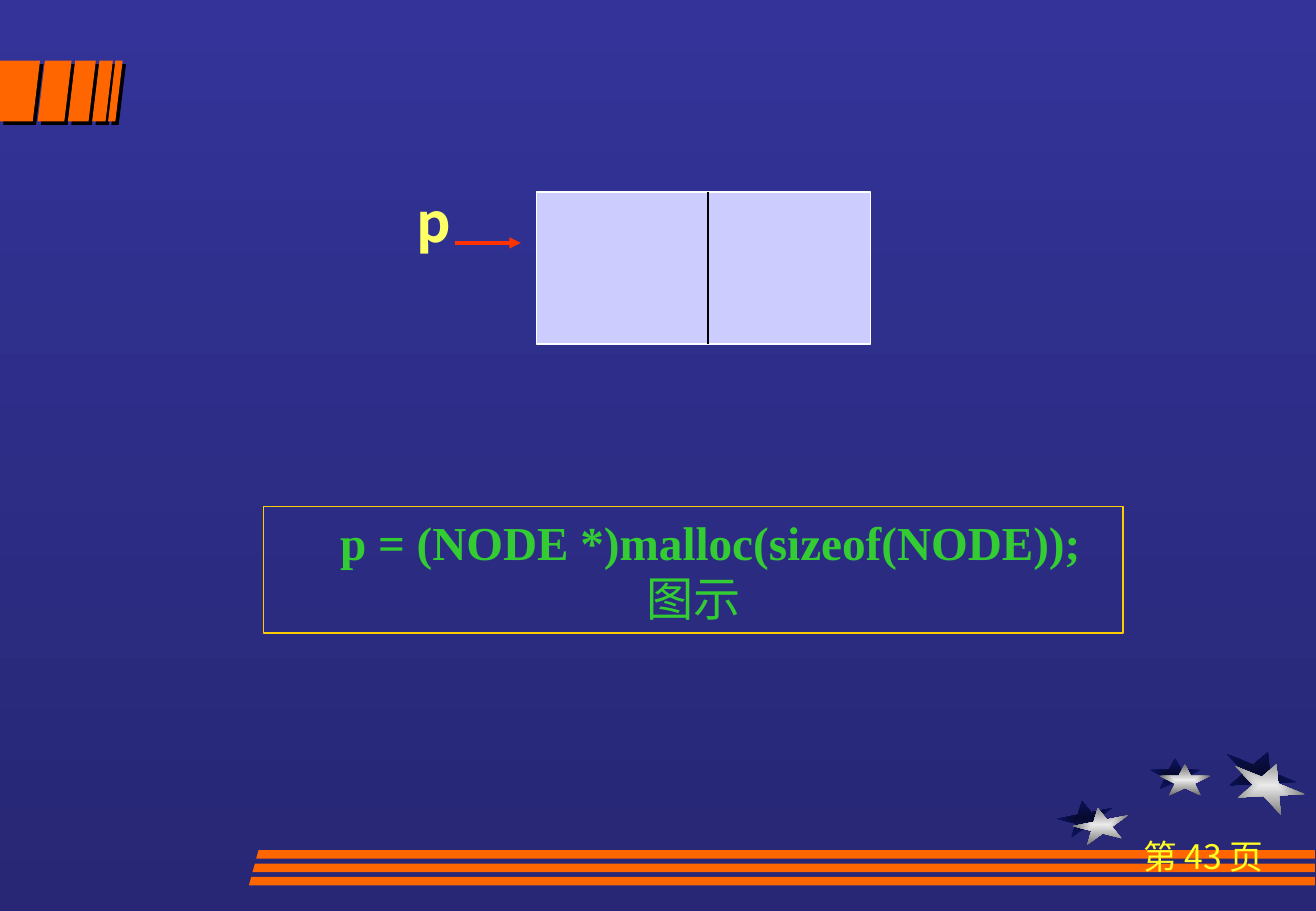
import pptx
import pptx.util
import pptx.oxml
import pptx.oxml.ns
import pptx.dml.color
import pptx.enum.shapes
import pptx.enum.text

Inches = pptx.util.Inches
Pt = pptx.util.Pt
qn = pptx.oxml.ns.qn
SHAPE = pptx.enum.shapes.MSO_SHAPE
CENTER = pptx.enum.text.PP_ALIGN.CENTER

COLORS = {
    "bg_top": "333399", "bg_bottom": "272775", "orange": "FF6600",
    "page": "FFFF25", "pointer": "FFFF66", "arrow": "FF3300",
    "code": "33CC33", "frame": "FFCC00", "node": "CCCCFF",
    "white": "FFFFFF", "black": "000000",
    "dark_in": "060A2F", "dark_out": "0D1565",
    "light_in": "EAEAEA", "light_out": "6C6C6C",
}
SANS, SERIF = "Noto Sans CJK SC", "Times New Roman"
NS = 'xmlns:a="http://schemas.openxmlformats.org/drawingml/2006/main"'
STAR = [(0, .38), (.38, .38), (.5, 0), (.62, .38), (1, .38),
        (.69, .62), (.81, 1), (.5, .76), (.19, 1), (.31, .62)]


def rgb(name):
    return pptx.dml.color.RGBColor.from_string(COLORS[name])


def set_gradient(fill, first, last):
    fill.gradient()
    for stop, name in zip(fill.gradient_stops, (first, last)):
        stop.color.rgb = rgb(name)


def add_text(tf, text, size, color, font=SANS, bold=False, align=None,
             indent=0, new=False):
    p = tf.add_paragraph() if new else tf.paragraphs[0]
    if indent:
        p._p.get_or_add_pPr().set("indent", str(Inches(indent)))
    p.alignment = align
    r = p.add_run()
    r.text = text
    r.font.size, r.font.bold, r.font.name = Pt(size), bold, font
    r.font.color.rgb = rgb(color)
    if font == SANS:
        ea = pptx.oxml.parse_xml(f'<a:ea {NS} typeface="{font}"/>')
        r._r.rPr.find(qn("a:latin")).addnext(ea)


def add_label(slide, box, text, size, color, **fmt):
    tf = slide.shapes.add_textbox(*map(Inches, box)).text_frame
    tf.word_wrap = True
    add_text(tf, text, size, color, **fmt)


def add_outline(slide, points, color="orange"):
    pts = [(Inches(x), Inches(y)) for x, y in points]
    builder = slide.shapes.build_freeform(*pts[0], scale=1.0)
    builder.add_line_segments(pts[1:], close=True)
    sp = builder.convert_to_shape()
    sp.shadow.inherit = False
    sp.fill.solid()
    sp.fill.fore_color.rgb = rgb(color)
    sp.line.fill.background()
    return sp


def add_rect(slide, box, line, fill=None):
    sp = slide.shapes.add_shape(SHAPE.RECTANGLE, *map(Inches, box))
    sp.shadow.inherit = False
    if fill:
        sp.fill.solid()
        sp.fill.fore_color.rgb = rgb(fill)
    else:
        sp.fill.background()
    sp.line.color.rgb = rgb(line)
    sp.line.width = Pt(1)
    return sp


def add_line(slide, start, end, color, width, arrow=False):
    cx = slide.shapes.add_connector(
        pptx.enum.shapes.MSO_CONNECTOR.STRAIGHT,
        *map(Inches, (*start, *end)))
    cx.line.color.rgb = rgb(color)
    cx.line.width = Pt(width)
    if arrow:
        cx.line._get_or_add_ln().append(
            pptx.oxml.parse_xml(f'<a:tailEnd {NS} type="triangle"/>'))
    cx._element.spPr.append(pptx.oxml.parse_xml(f"<a:effectLst {NS}/>"))


def add_star(slide, x, y, w, h, angle, tone):
    sp = add_outline(slide, [(x + u * w, y + v * h) for u, v in STAR])
    sp.rotation = angle
    set_gradient(sp.fill, tone + "_in", tone + "_out")
    # Shade from the centre outwards
    lin = sp._element.spPr.find(qn("a:gradFill")).find(qn("a:lin"))
    lin.getparent().replace(lin, pptx.oxml.parse_xml(
        f'<a:path {NS} path="rect"><a:fillToRect l="50000" t="50000" '
        'r="50000" b="50000"/></a:path>'))


def draw_stars(slide, x, y):
    for tone, offsets in (
            ("dark", ((0, .41), (.76, .06), (1.36, 0))),
            ("light", ((.13, .47), (.84, .11), (1.43, .1)))):
        sizes = ((.46, .28, 349), (.42, .26, 0), (.61, .37, 22))
        for (dx, dy), (w, h, angle) in zip(offsets, sizes):
            add_star(slide, x + dx, y + dy, w, h, angle, tone)


def draw_slanted_bars(slide, x, y, h):
    slant = 0.06
    for left, right in ((0, .33), (.37, .59), (.62, .79), (.82, .93), (.95, 1.01)):
        foot = max(left - slant, 0)
        sp = add_outline(slide, [(x + left, y), (x + right, y),
                                 (x + right - slant, y + h), (x + foot, y + h)])
        sp._element.spPr.find(qn("a:effectLst")).append(pptx.oxml.parse_xml(
            f'<a:outerShdw {NS} dist="{Pt(2.8)}" dir="2700000" algn="ctr" '
            f'rotWithShape="0"><a:srgbClr val="{COLORS["black"]}"/></a:outerShdw>'))


def draw_footer(slide, x, y, right):
    for i in range(3):
        left, top = x - 0.03 * i, y + 0.11 * i
        add_outline(slide, [(left, top + .07), (right, top + .07),
                            (right, top), (left + .02, top)])
    add_label(slide, (right - 1.83, y - .17, 1.83, .5), "第 43 页", 20, "page",
              align=CENTER)


def draw_node(slide, x, y, w, h):
    add_label(slide, (x - 1.09, y - .08, .76, .64), "p", 32, "pointer", bold=True)
    add_line(slide, (x - .67, y + .42), (x - .13, y + .42), "arrow", 2.25, arrow=True)
    add_rect(slide, (x, y, w, h), "white", "node")
    middle = x + 1.41
    add_line(slide, (middle, y), (middle, y + h), "black", 1)


def draw_code(slide, x, y, w, h):
    tf = add_rect(slide, (x, y, w, h), "frame").text_frame
    tf.word_wrap = True
    tf.vertical_anchor = pptx.enum.text.MSO_ANCHOR.MIDDLE
    fmt = dict(font=SERIF, align=CENTER)
    add_text(tf, "p = (NODE *)malloc(sizeof(NODE));", 28, "code", bold=True,
             indent=.28, **fmt)
    add_text(tf, "图示", 28, "code", new=True, **fmt)


def main():
    prs = pptx.Presentation()
    prs.slide_width, prs.slide_height = Inches(10.84), Inches(7.5)
    slide = prs.slides.add_slide(prs.slide_layouts[6])
    bg = slide.background.fill
    set_gradient(bg, "bg_top", "bg_bottom")
    bg.gradient_angle = 270

    # Decoration and page number
    draw_stars(slide, 8.71, 6.18)
    draw_slanted_bars(slide, 0, 0.5, 0.5)
    draw_footer(slide, 2.11, 7, 10.83)

    # Node diagram and its statement
    draw_node(slide, 4.42, 1.58, 2.75, 1.25)
    draw_code(slide, 2.17, 4.17, 7.08, 1.04)
    prs.save("out.pptx")


if __name__ == "__main__":
    main()
